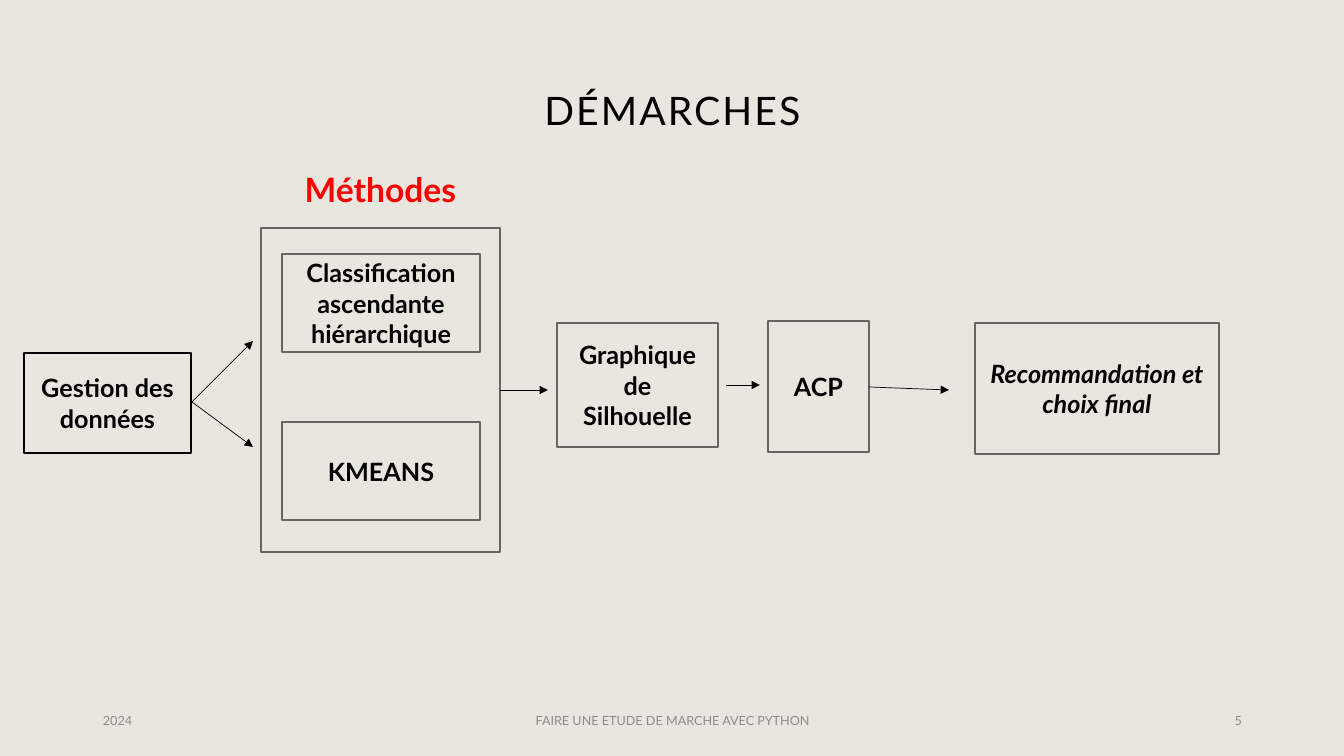
from lxml import etree
from pptx import Presentation
from pptx import util as u
from pptx.dml.color import RGBColor
from pptx.enum import shapes, text
from pptx.oxml.ns import qn

PX = 914400 / 100.8
FONT = "Lato"
COLORS = {
    "background": "E9E6DF",
    "black": "000000",
    "border": "666562",
    "red": "FF0000",
    "footer": "8C8C8C",
}
LEFT, CENTER, RIGHT = text.PP_ALIGN.LEFT, text.PP_ALIGN.CENTER, text.PP_ALIGN.RIGHT


def px(n):
    return u.Emu(round(n * PX))


def color(name):
    return RGBColor.from_string(COLORS[name])


def write(sp, words, size, fill="black", align=CENTER, bold=False, italic=False,
          anchor=text.MSO_ANCHOR.MIDDLE):
    tf = sp.text_frame
    tf.word_wrap = True
    tf.vertical_anchor = anchor
    p = tf.paragraphs[0]
    p.text = words
    p.alignment = align
    p.font.name = FONT
    p.font.size = u.Pt(size)
    p.font.bold = bold
    p.font.italic = italic
    p.font.color.rgb = color(fill)
    return p


def add_label(s, box, words, size, **style):
    sp = s.shapes.add_textbox(*map(px, box))
    return write(sp, words, size, **style)


def add_box(s, box, words="", border="border", filled=True, italic=False):
    sp = s.shapes.add_shape(shapes.MSO_SHAPE.RECTANGLE, *map(px, box))
    sp.shadow.inherit = False
    if filled:
        sp.fill.solid()
        sp.fill.fore_color.rgb = color("background")
    else:
        sp.fill.background()
    sp.line.color.rgb = color(border)
    sp.line.width = u.Pt(1)
    if words:
        write(sp, words, 18, bold=True, italic=italic)


def add_arrow(s, x1, y1, x2, y2):
    sp = s.shapes.add_connector(shapes.MSO_CONNECTOR.STRAIGHT, *map(px, (x1, y1, x2, y2)))
    sp.line.color.rgb = color("black")
    sp.line.width = u.Pt(0.5)
    etree.SubElement(sp.line._get_or_add_ln(), qn("a:tailEnd"), type="triangle")
    etree.SubElement(sp._element.spPr, qn("a:effectLst"))


def add_title(s, box, words):
    p = add_label(s, box, words, 28)
    p.line_spacing = 0.9
    p.runs[0]._r.get_or_add_rPr().set("spc", "150")


def add_footer(s, x, y, w, h):
    side, middle = 302, 454
    parts = [
        (x, side, "2024", LEFT),
        (x + (w - middle) / 2, middle, "FAIRE UNE ETUDE DE MARCHE AVEC PYTHON", CENTER),
        (x + w - side, side, "5", RIGHT),
    ]
    for left, width, words, align in parts:
        add_label(s, (left, y, width, h), words, 9, fill="footer", align=align)


def add_methods(s, x, y, w, h):
    add_label(s, (x - 9, y - 64, w + 18, 50), "Méthodes", 24, fill="red", bold=True,
              anchor=text.MSO_ANCHOR.TOP)
    add_box(s, (x, y, w, h), filled=False)
    for i, words in enumerate(("Classification ascendante hiérarchique", "KMEANS")):
        add_box(s, (x + 21, y + 26 + 168 * i, w - 41, 98), words)


def add_process(s, x, y, w, h):
    add_box(s, (x, y + 125, 167, 100), "Gestion des données", border="black")
    for tip in (113, 219):
        add_arrow(s, x + 168, y + 174, x + 229, y + tip)
    add_methods(s, x + 237, y, 239, h)
    add_arrow(s, x + 476, y + 162, x + 524, y + 162)
    add_box(s, (x + 533, y + 95, 161, 124), "Graphique de Silhouelle")
    add_arrow(s, x + 702, y + 157, x + 736, y + 157)
    add_box(s, (x + 744, y + 93, 101, 131), "ACP")
    add_arrow(s, x + 845, y + 159, x + 925, y + 162)
    add_box(s, (x + w - 244, y + 95, 244, 131), "Recommandation et choix final", italic=True)


prs = Presentation()
prs.slide_width, prs.slide_height = px(1344), px(756)
s = prs.slides.add_slide(prs.slide_layouts[6])
s.background.fill.solid()
s.background.fill.fore_color.rgb = color("background")
add_title(s, (93, 40, 1159, 146), "DÉMARCHES")
add_process(s, 24, 228, 1195, 324)
add_footer(s, 93, 701, 1159, 40)
prs.save("out.pptx")
